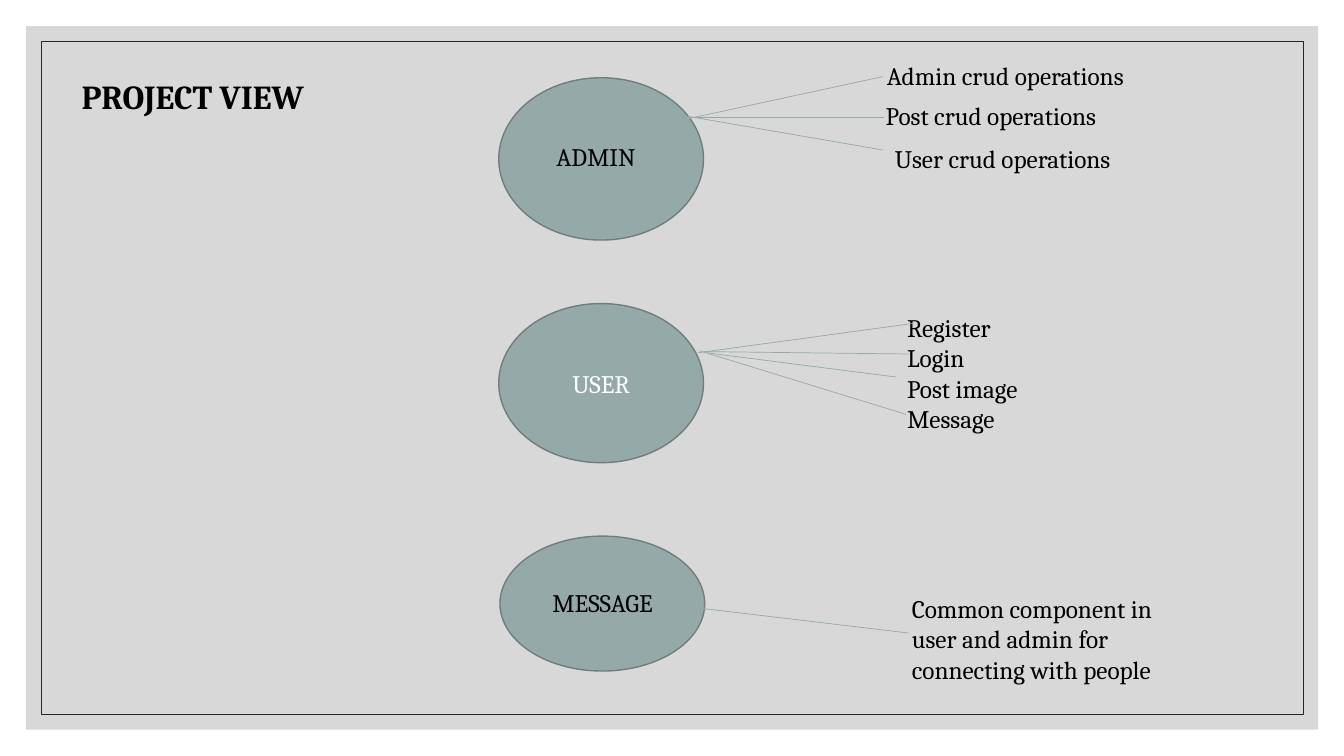
from dataclasses import dataclass

from lxml.etree import SubElement
from pptx import Presentation
from pptx.dml.color import RGBColor
from pptx.enum.shapes import MSO_CONNECTOR, MSO_SHAPE
from pptx.enum.text import MSO_ANCHOR, MSO_AUTO_SIZE, PP_ALIGN
from pptx.oxml.ns import qn
from pptx.util import Cm, Pt


@dataclass(frozen=True)
class Theme:
    font: str = "Cambria"
    title_size: int = 24
    body_size: int = 18
    ink: str = "000000"
    light: str = "FFFFFF"
    panel: str = "BFBFBF"
    panel_alpha: int = 60
    frame: str = "262626"
    role: str = "96A9A9"
    role_edge: str = "6F7D7D"


THEME = Theme()

# left, top, width, height in cm
PANEL = (0.66, 0.66, 32.56, 17.73)
FRAME = (1.04, 1.04, 31.8, 16.97)
TITLE = (1.8, 1.78, 10.39, 1.27)
ROLES = [
    ((12.57, 1.96, 5.16, 4.09), ""),
    ((12.57, 7.65, 5.16, 4.01), "USER"),
    ((12.6, 13.51, 5.16, 3.4), ""),
]
CAPTIONS = [
    ((13.77, 3.43, 8.53, 1.02), "ADMIN"),
    ((13.67, 14.68, 8.86, 1.02), "MESSAGE"),
    ((22.1, 1.4, 7.75, 1.02), "Admin crud operations"),
    ((22.07, 2.41, 8.03, 1.02), "Post crud operations"),
    ((22.3, 3.48, 8.41, 1.02), "User crud operations"),
    ((22.61, 7.75, 7.62, 3.33), "Register\nLogin\nPost image\nMessage"),
    ((22.73, 14.83, 7.62, 2.57),
     "Common component in user and admin for connecting with people"),
]
# start x, start y, end x, end y in cm
BRANCHES = [
    (17.3, 3.0, 22.25, 1.93),
    (17.35, 2.95, 22.28, 2.95),
    (17.27, 2.92, 22.25, 3.78),
    (17.58, 8.89, 23.01, 8.15),
    (17.75, 8.86, 22.89, 8.92),
    (17.81, 8.89, 22.58, 9.5),
    (17.63, 8.84, 22.83, 10.44),
    (17.6, 15.32, 22.89, 15.95),
]


def cm(lengths):
    return [Cm(length) for length in lengths]


def rgb(colour):
    return RGBColor.from_string(colour)


def apply(target, formats):
    for name, value in formats.items():
        setattr(target, name, value)


def write(frame, text, colour, size=THEME.body_size, bold=False, align=PP_ALIGN.LEFT):
    frame.text = text
    for paragraph in frame.paragraphs:
        paragraph.alignment = align
        apply(paragraph.font, {"name": THEME.font, "size": Pt(size), "bold": bold})
        paragraph.font.color.rgb = rgb(colour)


def add_outline(slide, preset, box, fill=None, line=None, line_width=1):
    shape = slide.shapes.add_shape(preset, *cm(box))
    shape.shadow.inherit = False
    if fill:
        shape.fill.solid()
        shape.fill.fore_color.rgb = rgb(fill)
    else:
        shape.fill.background()
    if line:
        shape.line.color.rgb = rgb(line)
        shape.line.width = Pt(line_width)
    else:
        shape.line.fill.background()
    return shape


def add_backdrop(slide):
    """Lay the translucent panel and its thin frame behind the title."""
    panel = add_outline(slide, MSO_SHAPE.RECTANGLE, PANEL, fill=THEME.panel)
    colour = panel.fill._xPr.find(qn("a:solidFill")).find(qn("a:srgbClr"))
    SubElement(colour, qn("a:alpha"), val=str(THEME.panel_alpha * 1000))
    frame = add_outline(slide, MSO_SHAPE.RECTANGLE, FRAME, line=THEME.frame, line_width=0.5)
    for part in (frame, panel):
        slide.shapes._spTree.insert(2, part._element)


def set_title(slide, text):
    title = slide.shapes.title
    apply(title, dict(zip(("left", "top", "width", "height"), cm(TITLE))))
    apply(title.text_frame, {
        "word_wrap": True,
        "auto_size": MSO_AUTO_SIZE.NONE,
        "vertical_anchor": MSO_ANCHOR.TOP,
    })
    write(title.text_frame, text, THEME.ink, THEME.title_size, bold=True)


def add_role(slide, box, text):
    role = add_outline(slide, MSO_SHAPE.OVAL, box, THEME.role, THEME.role_edge)
    if text:
        role.text_frame.vertical_anchor = MSO_ANCHOR.MIDDLE
        write(role.text_frame, text, THEME.light, align=PP_ALIGN.CENTER)


def add_caption(slide, box, text):
    caption = slide.shapes.add_textbox(*cm(box)).text_frame
    apply(caption, {"word_wrap": True, "auto_size": MSO_AUTO_SIZE.SHAPE_TO_FIT_TEXT})
    write(caption, text, THEME.ink)


def add_branch(slide, ends):
    branch = slide.shapes.add_connector(MSO_CONNECTOR.STRAIGHT, *cm(ends))
    branch.line.color.rgb = rgb(THEME.role)
    branch.line.width = Pt(0.5)
    SubElement(branch._element.spPr, qn("a:effectLst"))


def main():
    deck = Presentation()
    apply(deck, {"slide_width": Cm(33.87), "slide_height": Cm(19.05)})
    slide = deck.slides.add_slide(deck.slide_layouts.get_by_name("Title Only"))
    add_backdrop(slide)
    set_title(slide, "PROJECT VIEW")
    for box, text in ROLES:
        add_role(slide, box, text)
    for box, text in CAPTIONS:
        add_caption(slide, box, text)
    for ends in BRANCHES:
        add_branch(slide, ends)
    deck.save("out.pptx")


if __name__ == "__main__":
    main()
